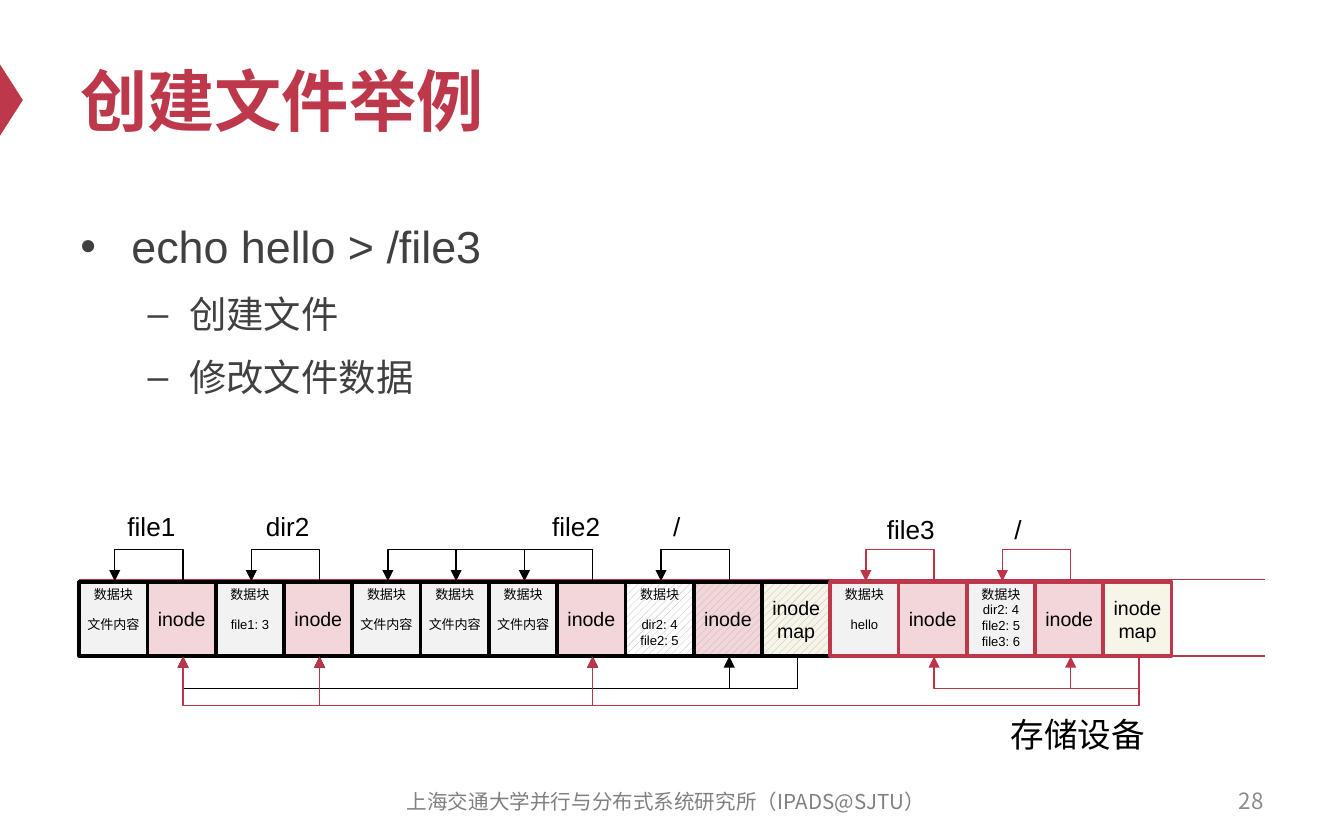
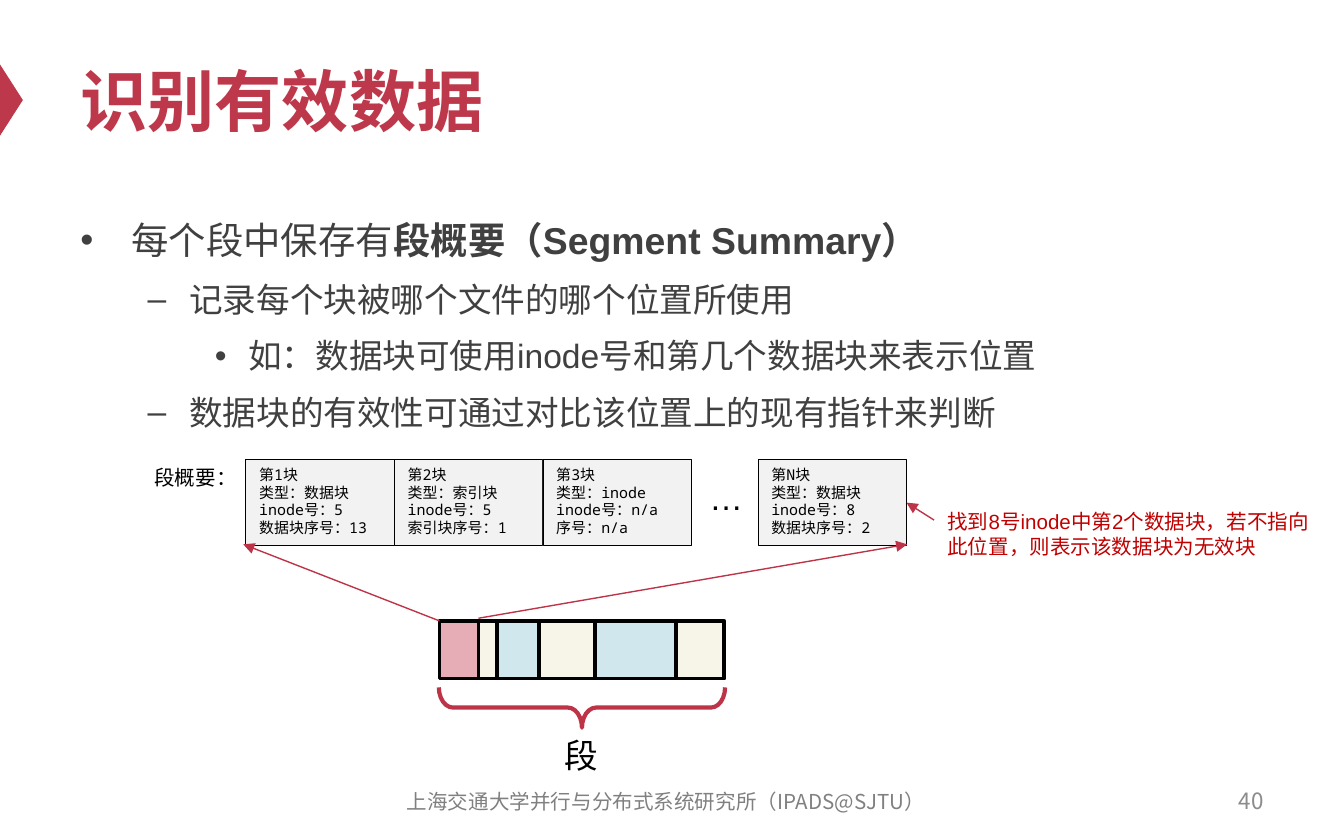
from lxml import etree
from pptx import Presentation
from pptx import util as u
from pptx.dml import color as dml
from pptx.enum import dml as patterns, shapes, text
from pptx.oxml.ns import qn

W, H = 10, 6.25
RED, ROSE, BLACK, TEXT = "BE384B", "BD3347", "000000", "404040"
GREY, PINK, CREAM, SKY = "F2F2F2", "F3D6DA", "F7F4E8", "D0E7EE"
SANS, CJK, MONO = "Arial", "Noto Sans CJK SC", "Noto Sans Mono"
LEFT, CENTRE, RIGHT = text.PP_ALIGN.LEFT, text.PP_ALIGN.CENTER, text.PP_ALIGN.RIGHT
TOP, MIDDLE = text.MSO_ANCHOR.TOP, text.MSO_ANCHOR.MIDDLE
RECT = shapes.MSO_SHAPE.RECTANGLE
STRAIGHT, ELBOW = shapes.MSO_CONNECTOR.STRAIGHT, shapes.MSO_CONNECTOR.ELBOW
rgb = dml.RGBColor.from_string


def place(slide, kind, box, lines=(), size=18, colour=BLACK, font=SANS, bold=False,
          align=LEFT, anchor=TOP, wrap=True, margins=(0.1, 0.05),
          fill=None, edge=None, weight=2, hatch=False):
    spot = [u.Inches(v) for v in box]
    if kind is None:
        item = slide.shapes.add_textbox(*spot)
    else:
        item = slide.shapes.add_shape(kind, *spot)
        item.shadow.inherit = False
        if hatch:
            item.fill.patterned()
            item.fill.pattern = patterns.MSO_PATTERN.WIDE_UPWARD_DIAGONAL
            item.fill.fore_color.rgb = rgb("B4B4B4")
            item.fill.back_color.rgb = rgb(fill)
        elif fill:
            item.fill.solid()
            item.fill.fore_color.rgb = rgb(fill)
        else:
            item.fill.background()
        if edge:
            item.line.color.rgb = rgb(edge)
            item.line.width = u.Pt(weight)
        else:
            item.line.fill.background()
    frame = item.text_frame
    frame.word_wrap, frame.vertical_anchor = wrap, anchor
    frame.margin_left = frame.margin_right = u.Inches(margins[0])
    frame.margin_top = frame.margin_bottom = u.Inches(margins[1])
    for row, line in enumerate(lines):
        para = frame.paragraphs[0] if row == 0 else frame.add_paragraph()
        para.alignment = align
        for turn, words in enumerate(line.split("*")):
            run = para.add_run()
            run.text = words
            run.font.size, run.font.name = u.Pt(size), font
            run.font.bold = bold or turn % 2 == 1
            run.font.color.rgb = rgb(colour)
            etree.SubElement(run.font._element, qn("a:ea"), typeface=font)
    return item


def link(slide, kind, start, end, colour, arrow=True):
    line = slide.shapes.add_connector(kind, *[u.Inches(v) for v in (*start, *end)])
    line.line.color.rgb = rgb(colour)
    line.line.width = u.Pt(0.75)
    if arrow:
        etree.SubElement(line.line._get_or_add_ln(), qn("a:tailEnd"), type="triangle")
    etree.SubElement(line._element.spPr, qn("a:effectLst"))
    return line


deck = Presentation()
deck.slide_width, deck.slide_height = u.Inches(W), u.Inches(H)

pages = [
    ("创建文件举例", "28", [
        (0, 24, "echo hello > /file3"),
        (1, 20, "创建文件"),
        (1, 20, "修改文件数据")]),
    ("识别有效数据", "40", [
        (0, 20, "每个段中保存有*段概要（Segment Summary）*"),
        (1, 18, "记录每个块被哪个文件的哪个位置所使用"),
        (2, 18, "如：数据块可使用inode号和第几个数据块来表示位置"),
        (1, 18, "数据块的有效性可通过对比该位置上的现有指针来判断")]),
]
bullets = [("•", 0.38, 0.38), ("–", 0.81, 0.31), ("•", 1.25, 0.25)]

for title, number, points in pages:
    slide = deck.slides.add_slide(deck.slide_layouts[6])
    marker = place(slide, shapes.MSO_SHAPE.ISOSCELES_TRIANGLE, (-0.18, 0.66, 0.53, 0.17), fill=RED)
    marker.rotation = 90
    place(slide, None, (0.05 * W, 0.25, 0.9 * W, 0.98), [title], 36, RED, bold=True, anchor=MIDDLE)
    body = place(slide, None, (0.05 * W, 1.5, 0.9 * W, 4.08),
                 [words.rstrip("*") for _, _, words in points], colour=TEXT)
    for para, (level, size, _) in zip(body.text_frame.paragraphs, points):
        mark, indent, hang = bullets[level]
        para.level = level
        props = para._p.get_or_add_pPr()
        props.set("marL", str(u.Inches(indent)))
        props.set("indent", str(-u.Inches(hang)))
        etree.SubElement(props, qn("a:buFont"), typeface=SANS)
        etree.SubElement(props, qn("a:buChar"), char=mark)
        para.line_spacing = 1.2
        para.space_before = u.Pt(0.25 * size if level else 0)
        for run in para.runs:
            run.font.size = u.Pt(size)
    place(slide, None, (7.17, 5.79, 2.33, 0.33), [number], 12, "8C8C8C", CJK,
          align=RIGHT, anchor=MIDDLE)
    place(slide, None, (2.79, 5.8, 4.33, 0.33), ["上海交通大学并行与分布式系统研究所（IPADS@SJTU）"],
          11, "808080", CJK, align=CENTRE, anchor=MIDDLE)

log_slide, summary_slide = deck.slides

LOG_X, LOG_Y, COL, ROW = 0.59, 4.33, 0.508, 0.55
for rail in (4.31, 4.88):
    link(log_slide, STRAIGHT, (LOG_X, rail), (9.41, rail), ROSE, arrow=False)

inode, inode_map = ["inode"], ["inode", "map"]
content = ["数据块", "文件内容"]
log = [content, inode, ["数据块", "file1: 3"], inode, content, content, content, inode,
       ["数据块", "dir2: 4", "file2: 5"], inode, inode_map,
       ["数据块", "hello"], inode, ["数据块", "dir2: 4", "file2: 5", "file3: 6"], inode, inode_map]
OLD_ROOT, NEW = range(8, 11), 11
for col, lines in enumerate(log):
    is_data = lines[0] == "数据块"
    hatched = col in OLD_ROOT
    fill = (("FFFFFF" if hatched else GREY) if is_data
            else CREAM if lines is inode_map else PINK)
    block = place(log_slide, RECT, (LOG_X + col * COL, LOG_Y, COL, ROW), lines,
                  7 if is_data else 10.5, align=CENTRE, anchor=TOP if is_data else MIDDLE,
                  wrap=False, margins=(0, 0.03), fill=fill,
                  edge=RED if col >= NEW else BLACK, hatch=hatched)
    if is_data and len(lines) < 4:
        block.text_frame.paragraphs[1].space_before = u.Pt(8)

UP, DOWN, DEEP = -0.25, 0.25, 0.38
pointers = [(10, 9, DOWN, BLACK), (10, 3, DOWN, BLACK), (10, 1, DOWN, BLACK), (10, 7, DOWN, BLACK),
            (1, 0, UP, BLACK), (7, 6, UP, BLACK), (9, 8, UP, BLACK), (3, 2, UP, BLACK),
            (7, 4, UP, BLACK), (7, 5, UP, BLACK),
            (14, 13, UP, ROSE), (12, 11, UP, ROSE), (15, 14, DOWN, ROSE), (15, 12, DOWN, ROSE),
            (15, 7, DEEP, ROSE), (15, 3, DEEP, ROSE), (15, 1, DEEP, ROSE)]
THIN = 0.01
for source, target, reach, colour in pointers:
    middle = LOG_X + ((source + target) / 2 + 0.5) * COL + 0.01
    side = LOG_Y if reach < 0 else LOG_Y + ROW
    half = (source - target) * COL / 2 * (1 if reach > 0 else -1)
    bend = link(log_slide, ELBOW, (middle - THIN / 2, side - half),
                (middle + THIN / 2, side + half), colour)
    geometry = bend._element.spPr
    geometry.find(qn("a:xfrm")).set("rot", str((90 if reach > 0 else 270) * 60000))
    guides = geometry.find(qn("a:prstGeom")).get_or_add_avLst()
    etree.SubElement(guides, qn("a:gd"), name="adj1",
                     fmla=f"val {round(abs(reach) / THIN * 100000)}")

for x, y, width, name in [(0.85, 3.75, 0.56, "file1"), (1.88, 3.75, 0.53, "dir2"),
                          (4.01, 3.75, 0.56, "file2"), (4.91, 3.75, 0.26, "/"),
                          (6.5, 3.77, 0.56, "file3"), (7.45, 3.77, 0.26, "/")]:
    place(log_slide, None, (x, y, width, 0.34), [name], 14, wrap=False)
place(log_slide, None, (7.42, 5.26, 1.21, 0.4), ["存储设备"], wrap=False)

SEG_X, SEG_Y, SEG_H = 3.27, 4.62, 0.43
for x, width, fill in [(3.56, 1.83, CREAM), (3.7, 0.31, SKY), (4.43, 0.6, SKY),
                       (SEG_X, 0.29, "E7ADB6")]:
    place(summary_slide, RECT, (x, SEG_Y, width, SEG_H), fill=fill, edge=BLACK)
brace = place(summary_slide, shapes.MSO_SHAPE.RIGHT_BRACE, (4.18, 4.2, 0.3, 2.13),
              edge=ROSE, weight=2.25)
brace.rotation = 90
brace.adjustments[0] = 0.35
place(summary_slide, None, (4.1, 5.42, 0.45, 0.4), ["段"], wrap=False)

SUM_X, SUM_Y, SUM_W, SUM_H = 1.83, 3.42, 1.105, 0.64
LAST_X = 5.64
entries = [(SUM_X, "1", "数据块", "5", "数据块序号：13"),
           (SUM_X + SUM_W, "2", "索引块", "5", "索引块序号：1"),
           (SUM_X + 2 * SUM_W, "3", "inode", "n/a", "序号：n/a"),
           (LAST_X, "N", "数据块", "8", "数据块序号：2")]
for x, index, sort, owner, position in entries:
    entry = place(summary_slide, RECT, (x, SUM_Y, SUM_W, SUM_H),
                  [f"第{index}块", f"类型：{sort}", f"inode号：{owner}", position],
                  8, font=MONO, fill=GREY, edge=BLACK, weight=0.5)
    for para in entry.text_frame.paragraphs:
        para.line_spacing = u.Pt(9.4)
place(summary_slide, None, (5.18, 3.5, 0.45, 0.4), ["…"], wrap=False)
place(summary_slide, None, (1.05, 3.41, 0.82, 0.29), ["段概要："], 11, wrap=False)
place(summary_slide, None, (6.95, 3.74, 2.91, 0.47),
      ["找到8号inode中第2个数据块，若不指向", "此位置，则表示该数据块为无效块"], 11, "C00000")

link(summary_slide, STRAIGHT, (SEG_X, SEG_Y), (1.81, 4.05), ROSE)
link(summary_slide, STRAIGHT, (3.56, 4.6), (6.75, 4.05), ROSE)
note = link(summary_slide, STRAIGHT, (6.95, 3.87), (6.75, 3.74), ROSE)
note.end_connect(entry, 3)

deck.save("out.pptx")
